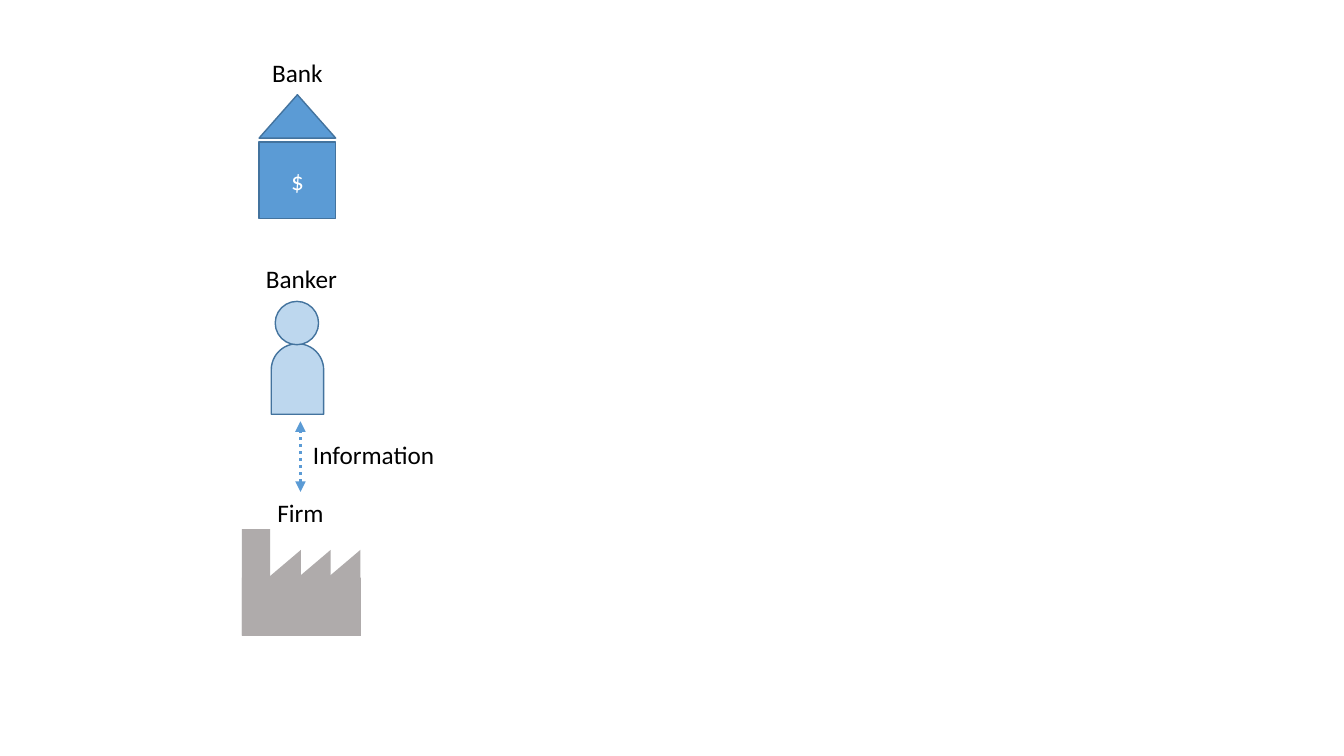
from lxml.etree import SubElement
from pptx import Presentation
from pptx.dml.color import RGBColor
from pptx.enum.dml import MSO_LINE
from pptx.enum.shapes import MSO_CONNECTOR, MSO_SHAPE as Shape
from pptx.enum.text import MSO_ANCHOR, PP_ALIGN
from pptx.oxml.ns import qn
from pptx.util import Inches, Pt

BLUE, PALE_BLUE, OUTLINE, GREY = "5B9BD5", "BDD7EE", "43739E", "AFABAB"


def add_part(kind, left, top, width, height, fill, line=None):
    """Add a filled preset shape, outlined only when a line colour is given."""
    part = page.shapes.add_shape(
        kind, Inches(left), Inches(top), Inches(width), Inches(height))
    part.shadow.inherit = False
    part.fill.solid()
    part.fill.fore_color.rgb = RGBColor.from_string(fill)
    if line:
        part.line.color.rgb = RGBColor.from_string(line)
        part.line.width = Pt(1)
    else:
        part.line.fill.background()
    return part


def write(box, text, color="000000", size=18, font="Calibri"):
    """Put one centred line of formatted text into a shape or text box."""
    box.text_frame.word_wrap = True
    para = box.text_frame.paragraphs[0]
    para.alignment = PP_ALIGN.CENTER
    span = para.add_run()
    span.text = text
    span.font.name = font
    span.font.size = Pt(size)
    span.font.color.rgb = RGBColor.from_string(color)


deck = Presentation()
deck.slide_width, deck.slide_height = Inches(13.33), Inches(7.5)
page = deck.slides.add_slide(deck.slide_layouts[6])

# Firm: hall, chimney and three roof teeth
add_part(Shape.RECTANGLE, 2.4, 5.73, 1.18, 0.58, GREY)
add_part(Shape.RECTANGLE, 2.4, 5.25, 0.28, 1.05, GREY)
for index in range(3):
    tooth = add_part(Shape.RIGHT_TRIANGLE, 2.68 + 0.295 * index, 5.43, 0.28, 0.33, GREY)
    tooth.rotation = 270

# Banker: body and head
body = add_part(Shape.ROUND_2_SAME_RECTANGLE, 2.69, 3.41, 0.52, 0.7, PALE_BLUE, OUTLINE)
body.adjustments[0] = 0.5
add_part(Shape.FLOWCHART_CONNECTOR, 2.73, 2.99, 0.43, 0.43, PALE_BLUE, OUTLINE)

# Bank: building and roof
building = add_part(Shape.RECTANGLE, 2.57, 1.41, 0.76, 0.76, BLUE, OUTLINE)
building.text_frame.vertical_anchor = MSO_ANCHOR.MIDDLE
write(building, "$", color="FFFFFF")
add_part(Shape.ISOSCELES_TRIANGLE, 2.57, 0.94, 0.76, 0.43, BLUE, OUTLINE)

# Two-way information flow between firm and banker
flow = page.shapes.add_connector(
    MSO_CONNECTOR.STRAIGHT, Inches(2.98), Inches(4.88), Inches(2.98), Inches(4.18))
flow.line.color.rgb = RGBColor.from_string(BLUE)
flow.line.width = Pt(2.5)
flow.line.dash_style = MSO_LINE.ROUND_DOT
line_xml = flow.line._get_or_add_ln()
for end in ("a:headEnd", "a:tailEnd"):
    SubElement(line_xml, qn(end), type="triangle")
SubElement(flow._element.spPr, qn("a:effectLst"))

labels = [
    ("Bank", 2.36, 0.52, 1.18),
    ("Banker", 2.4, 2.56, 1.18),
    ("Information", 2.98, 4.31, 1.45),
    ("Firm", 2.19, 4.88, 1.58),
]
for text, left, top, width in labels:
    label = page.shapes.add_textbox(Inches(left), Inches(top), Inches(width), Inches(0.4))
    write(label, text)

deck.save("out.pptx")
